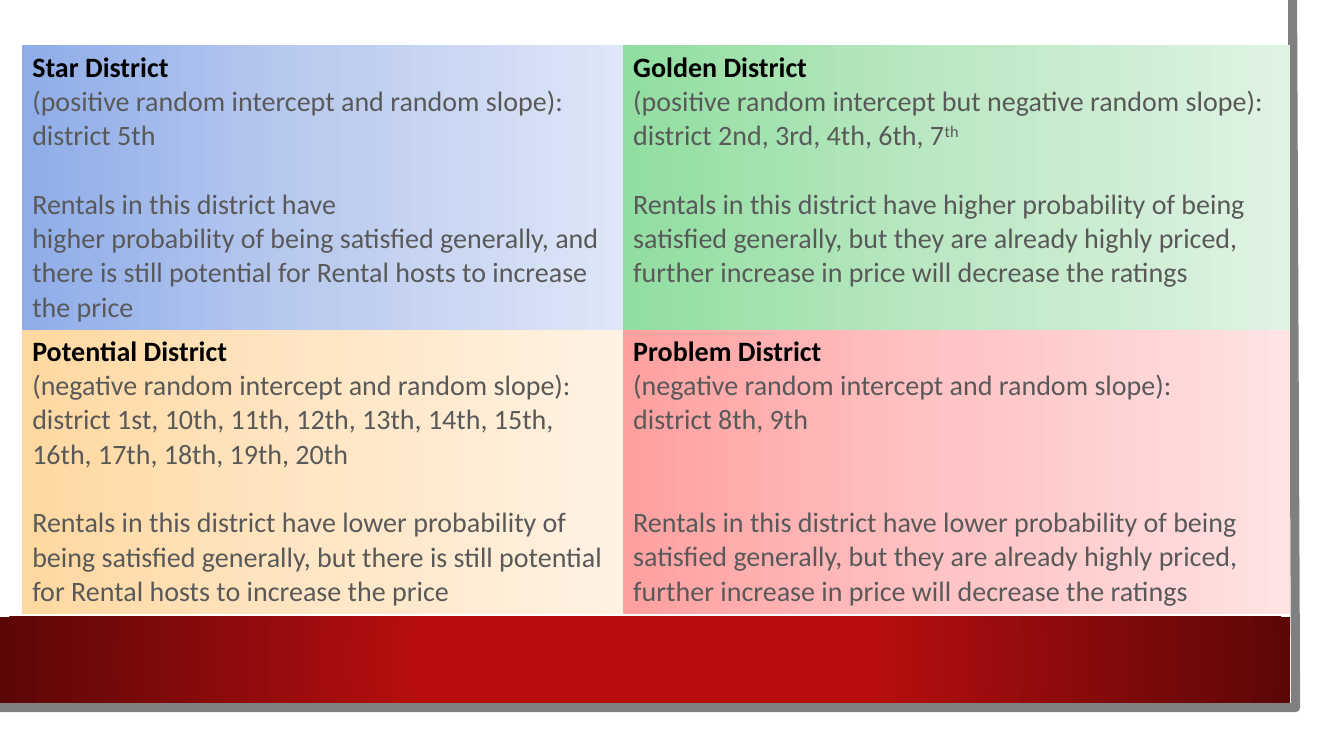
from lxml import etree
from pptx import Presentation
from pptx.dml.color import RGBColor
from pptx.enum.shapes import MSO_SHAPE as SHAPE
from pptx.oxml.ns import qn
from pptx.util import Inches, Pt

WHITE = RGBColor(0xFF, 0xFF, 0xFF)
BLACK = RGBColor(0x00, 0x00, 0x00)
BODY_GREY = RGBColor(0x59, 0x59, 0x59)
EDGE_GREY = RGBColor(0x80, 0x80, 0x80)
RED = RGBColor(0xB8, 0x0E, 0x0F)
DARK_RED = RGBColor(0x5C, 0x07, 0x07)
BLUES = [RGBColor.from_string(c) for c in ("8FADE9", "BCCCEF", "DEE6F7")]
GREENS = [RGBColor.from_string(c) for c in ("91DEA0", "BDE8C5", "DFF3E3")]
ORANGES = [RGBColor.from_string(c) for c in ("FFD8A0", "FFE6C5", "FFF2E3")]
PINKS = [RGBColor.from_string(c) for c in ("FFA0A0", "FFC4C5", "FFE2E2")]

FONT = "Calibri"
TEXT_SIZE = 20
LINE_PITCH = 24.4
NO_STYLE = "{2D5ABB26-0587-4C30-8999-92F81FD0307C}"

CROWDED = ("Rentals in this district have {} probability of being satisfied "
           "generally, but they are already highly priced, further increase "
           "in price will decrease the ratings")
NEGATIVE = "(negative random intercept and random slope):"

# Each district: colours, title, condition, members, superscript,
# blank lines before the advice, advice paragraphs
DISTRICTS = [
    [(BLUES, "Star District",
      "(positive random intercept and random slope):",
      "district 5th", "", 1,
      ["Rentals in this district have",
       "higher probability of being satisfied generally, and there is still "
       "potential for Rental hosts to increase the price"]),
     (GREENS, "Golden District",
      "(positive random intercept but negative random slope):",
      "district 2nd, 3rd, 4th, 6th, 7", "th", 1,
      [CROWDED.format("higher")])],
    [(ORANGES, "Potential District", NEGATIVE,
      "district 1st, 10th, 11th, 12th, 13th, 14th, 15th, 16th, 17th, 18th, "
      "19th, 20th", "", 1,
      ["Rentals in this district have lower probability of being satisfied "
       "generally, but there is still potential for Rental hosts to increase "
       "the price"]),
     (PINKS, "Problem District", NEGATIVE,
      "district 8th, 9th", "", 2,
      [CROWDED.format("lower")])],
]


def set_gradient(fill, props, stops, circular=False):
    """Fill with (percent, colour) stops, left to right or from the centre."""
    fill.gradient()
    grad = props.find(qn("a:gradFill"))
    for child in list(grad):
        grad.remove(child)
    gs_list = etree.SubElement(grad, qn("a:gsLst"))
    for percent, color in stops:
        gs = etree.SubElement(gs_list, qn("a:gs"), pos=str(percent * 1000))
        etree.SubElement(gs, qn("a:srgbClr"), val=str(color))
    if circular:
        path = etree.SubElement(grad, qn("a:path"), path="circle")
        etree.SubElement(path, qn("a:fillToRect"),
                         **{side: "50000" for side in "ltrb"})
    else:
        etree.SubElement(grad, qn("a:lin"), ang="0", scaled="0")


def add_sheet(slide, width, height):
    """White sheet with a grey right and bottom edge and a red band."""
    sheet = slide.shapes.add_shape(SHAPE.RECTANGLE, 0, 0, width, height)
    sheet.fill.solid()
    sheet.fill.fore_color.rgb = WHITE

    right, bottom = width - Inches(0.25), height - Inches(0.25)
    builder = slide.shapes.build_freeform(right - Inches(0.03), 0)
    builder.add_line_segments([(right, bottom), (0, bottom)], close=False)
    edge = builder.convert_to_shape()
    edge.fill.background()
    edge.line.color.rgb = EDGE_GREY
    edge.line.width = Pt(6.5)

    band = slide.shapes.add_shape(SHAPE.RECTANGLE, 0, height - Inches(1.15),
                                  width - Inches(0.3), Inches(0.85))
    set_gradient(band.fill, band._element.spPr,
                 [(34, RED), (100, DARK_RED)], circular=True)

    for sp in (sheet, band):
        sp.line.fill.background()
    for sp in (sheet, edge, band):
        sp.shadow.inherit = False


def fill_district(cell, district):
    colors, title, condition, members, superscript, gap, advice = district
    set_gradient(cell.fill, cell._tc.get_or_add_tcPr(),
                 zip((0, 50, 100), colors))
    lines = [title, condition, members, *advice]
    tf = cell.text_frame
    tf.text = "\n".join(lines)
    tf.paragraphs[3].space_before = Pt(gap * LINE_PITCH)
    if superscript:
        r = tf.paragraphs[2].add_run()
        r.text = superscript
        r.font._element.set("baseline", "30000")
    for i, p in enumerate(tf.paragraphs):
        for r in p.runs:
            r.font.name = FONT
            r.font.size = Pt(TEXT_SIZE)
            r.font.bold = i == 0
            r.font.color.rgb = BLACK if i == 0 else BODY_GREY


def add_district_table(slide, left, top, col_widths, row_height):
    table = slide.shapes.add_table(
        len(DISTRICTS), len(col_widths), left, top,
        sum(col_widths), row_height * len(DISTRICTS)).table
    table.first_row = table.horz_banding = False
    table._tbl.tblPr.find(qn("a:tableStyleId")).text = NO_STYLE
    for column, width in zip(table.columns, col_widths):
        column.width = width
    for i, row in enumerate(DISTRICTS):
        table.rows[i].height = row_height
        for j, district in enumerate(row):
            fill_district(table.cell(i, j), district)


def main():
    prs = Presentation()
    prs.slide_width, prs.slide_height = Inches(13.33), Inches(7.5)
    slide = prs.slides.add_slide(prs.slide_layouts[6])
    add_sheet(slide, Inches(13.1), Inches(7.27))
    add_district_table(slide, Inches(0.22), Inches(0.45),
                       [Inches(5.96), Inches(6.61)], Inches(2.82))
    prs.save("out.pptx")


if __name__ == "__main__":
    main()
